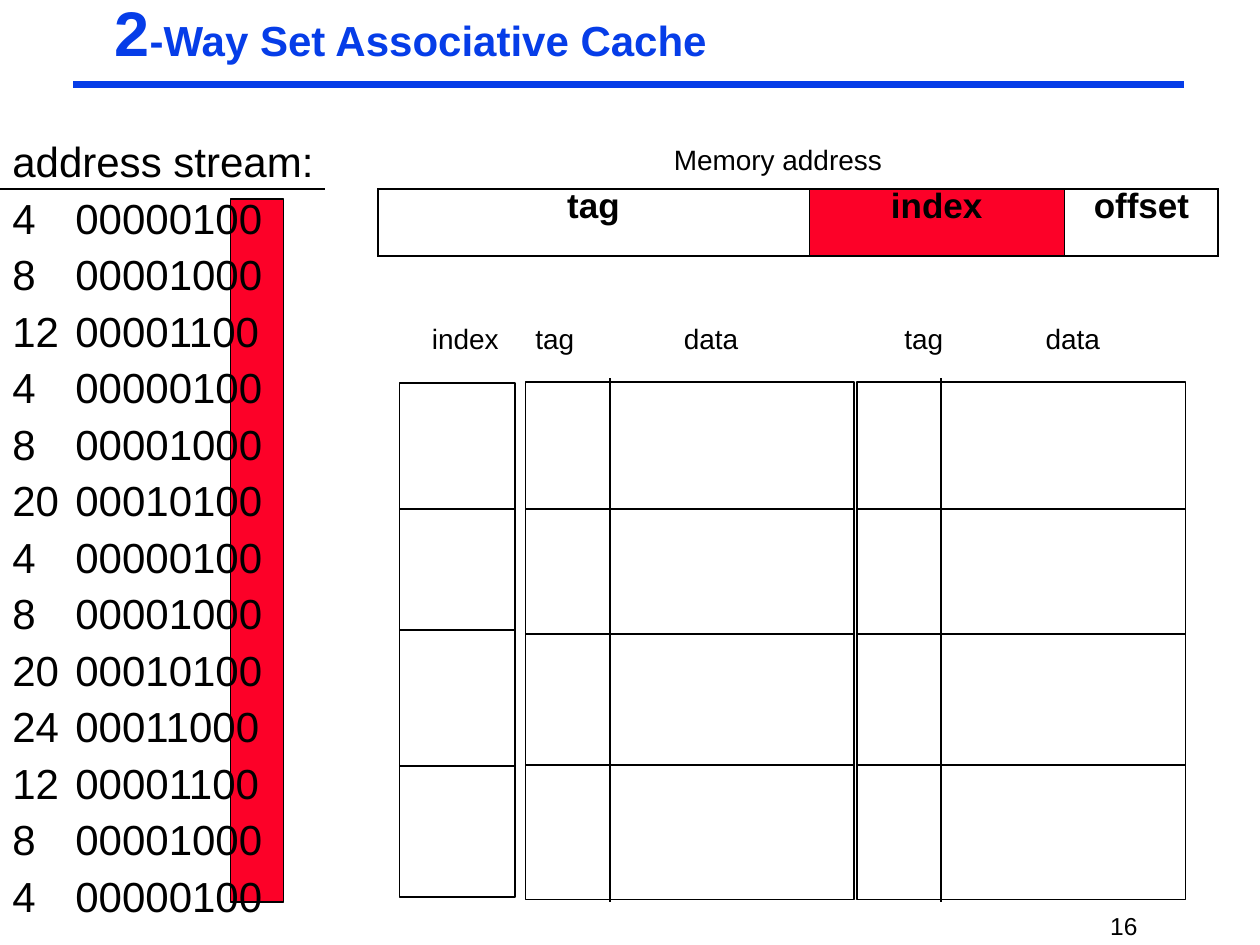
"""Build the 2-way set associative cache slide."""
from lxml.etree import SubElement
from pptx import Presentation
from pptx.dml.color import RGBColor
from pptx.enum.shapes import MSO_CONNECTOR, MSO_SHAPE
from pptx.enum.text import MSO_ANCHOR, PP_ALIGN
from pptx.oxml.ns import qn
from pptx.util import Inches, Pt

BLACK = RGBColor(0x00, 0x00, 0x00)
BLUE = RGBColor(0x06, 0x3D, 0xE8)
RED = RGBColor(0xFC, 0x01, 0x28)

ADDRESSES = [4, 8, 12, 4, 8, 20, 4, 8, 20, 24, 12, 8, 4]
FIELDS = [("tag", 3.42, None), ("index", 2.03, RED), ("offset", 1.22, None)]
LABELS = [("index", 3.33, 0.73), ("tag", 4.15, 0.51), ("data", 5.33, 0.63),
          ("tag", 7.08, 0.51), ("data", 8.2, 0.63)]
WAY_LEFTS = [4.17, 6.8]
WAY_WIDTH = 2.61


class SlideBuilder:
    font = "Arial"

    def __init__(self, slide):
        self.s = slide

    def paragraph(self, p, runs, color=BLACK, bold=False, **fmt):
        for name, value in fmt.items():
            setattr(p, name, value)
        for text, size in runs:
            r = p.add_run()
            r.text = text
            style = {"name": self.font, "size": Pt(size), "bold": bold}
            for name, value in style.items():
                setattr(r.font, name, value)
            r.font.color.rgb = color

    def text(self, box, paragraphs, insets=(0.1, 0.05), wrap=True, **fmt):
        tf = self.s.shapes.add_textbox(*map(Inches, box)).text_frame
        dx, dy = map(Inches, insets)
        frame = {"margin_left": dx, "margin_right": dx, "margin_top": dy,
                 "margin_bottom": dy, "word_wrap": wrap,
                 "vertical_anchor": MSO_ANCHOR.TOP}
        for name, value in frame.items():
            setattr(tf, name, value)
        for i, runs in enumerate(paragraphs):
            p = tf.add_paragraph() if i else tf.paragraphs[0]
            self.paragraph(p, runs, **fmt)

    def rect(self, box, fill=None):
        sp = self.s.shapes.add_shape(MSO_SHAPE.RECTANGLE, *map(Inches, box))
        sp.shadow.inherit = False
        self.fill(sp, fill)
        sp.line.color.rgb = BLACK
        sp.line.width = Pt(1)

    def fill(self, target, color):
        if color is None:
            target.fill.background()
        else:
            target.fill.solid()
            target.fill.fore_color.rgb = color

    def line(self, x1, y1, x2, y2, color=BLACK, width=1):
        cx = self.s.shapes.add_connector(
            MSO_CONNECTOR.STRAIGHT, *map(Inches, (x1, y1, x2, y2)))
        cx.line.color.rgb = color
        cx.line.width = Pt(width)
        SubElement(cx._element.spPr, qn("a:effectLst"))

    def grid(self, box, row_lines):
        self.rect(box)
        left, _, width, _ = box
        for y in row_lines:
            self.line(left, y, left + width, y)

    def border(self, cell, side, width):
        ln = SubElement(cell._tc.get_or_add_tcPr(), qn(f"a:ln{side}"), w=str(Pt(width)))
        fill = SubElement(ln, qn("a:solidFill"))
        SubElement(fill, qn("a:srgbClr"), val=str(BLACK))

    def field_table(self, box, fields):
        table = self.s.shapes.add_table(1, len(fields), *map(Inches, box)).table
        table.first_row = table.horz_banding = False
        last = len(fields) - 1
        for i, (name, width, color) in enumerate(fields):
            table.columns[i].width = Inches(width)
            cell = table.cell(0, i)
            sides = {"L": 0.45 if i else 1.08, "R": 0.45 if i < last else 1.08,
                     "T": 1.08, "B": 1.08}
            for side, weight in sides.items():
                self.border(cell, side, weight)
            self.fill(cell, color)
            self.paragraph(cell.text_frame.paragraphs[0], [(name, 20)], bold=True,
                           alignment=PP_ALIGN.CENTER, line_spacing=0.75,
                           space_before=Pt(16.2))


def main():
    prs = Presentation()
    prs.slide_width, prs.slide_height = Inches(10), Inches(7.5)
    b = SlideBuilder(prs.slides.add_slide(prs.slide_layouts[6]))

    b.line(0.58, 0.67, 9.4, 0.67, BLUE, 3.75)
    b.text((7.88, 7.2, 2.08, 0.29), [[("16", 14)]], (0.07, 0.03),
           alignment=PP_ALIGN.CENTER)
    b.rect((1.83, 1.58, 0.42, 5.58), RED)
    b.text((0.84, 0, 4.86, 0.58),
           [[("2", 36), ("-Way Set Associative Cache", 24)]], (0.07, 0.03),
           color=BLUE, bold=True, line_spacing=0.87)

    stream = ["address stream:"] + [f"{a} \t{a:08b}" for a in ADDRESSES]
    b.text((0, 1.17, 5, 6.17), [[(row, 24)] for row in stream],
           line_spacing=0.6, space_before=Pt(15))
    b.line(0, 1.5, 2.58, 1.5, width=0.75)

    for label, left, width in LABELS:
        b.text((left, 2.5, width, 0.36), [[(label, 16)]], wrap=False)
    b.grid((3.17, 3.04, 0.92, 4.08), [4.04, 5, 6.08])
    for left in WAY_LEFTS:
        b.grid((left, 3.03, WAY_WIDTH, 4.11), [4.04, 5.03, 6.07])
        b.line(left + 0.67, 3, left + 0.67, 7.16)

    b.field_table((3, 1.5, 6.67, 0.53), FIELDS)
    b.text((5.25, 1.08, 1.85, 0.36), [[("Memory address", 16)]], wrap=False)
    prs.save("out.pptx")


if __name__ == "__main__":
    main()
